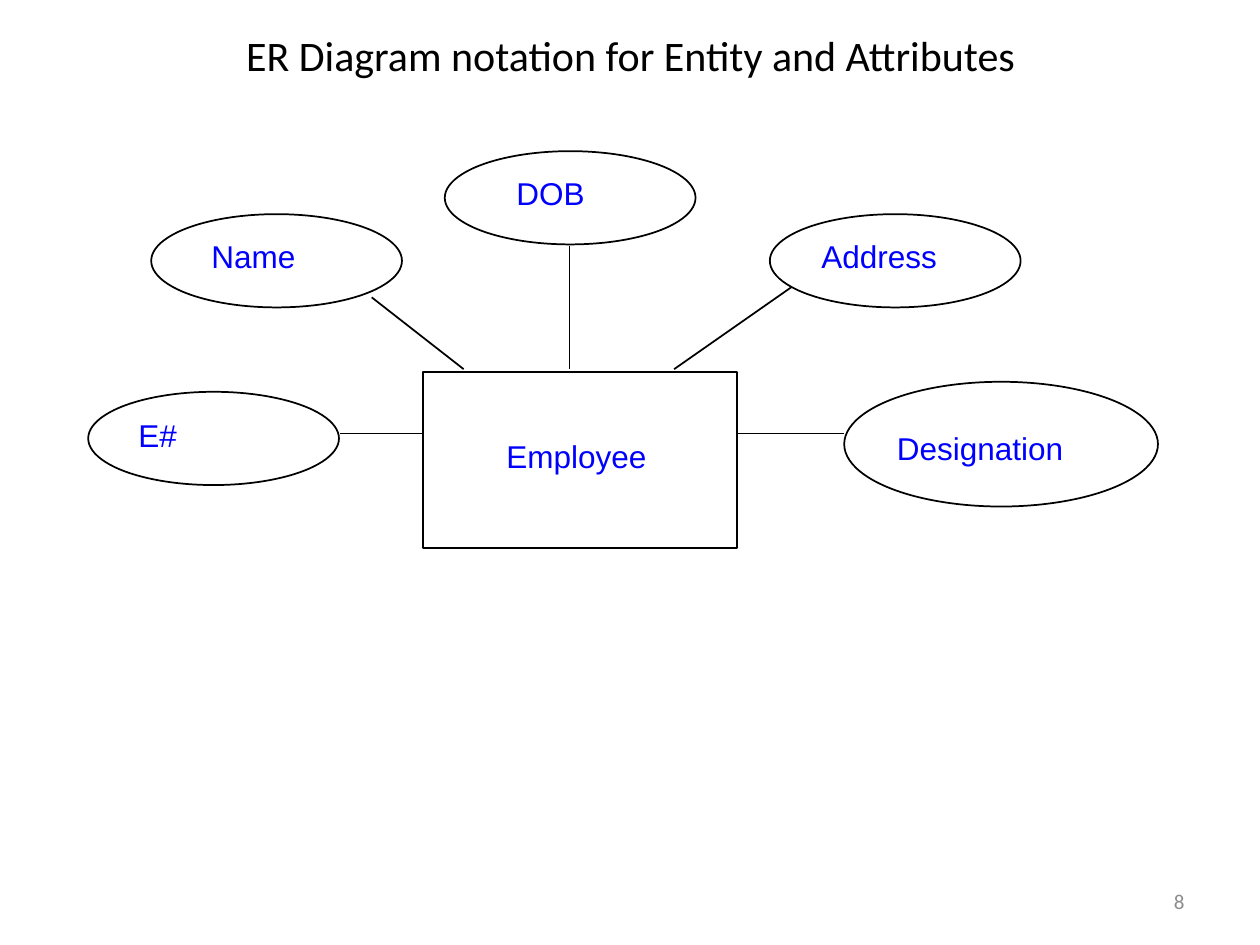
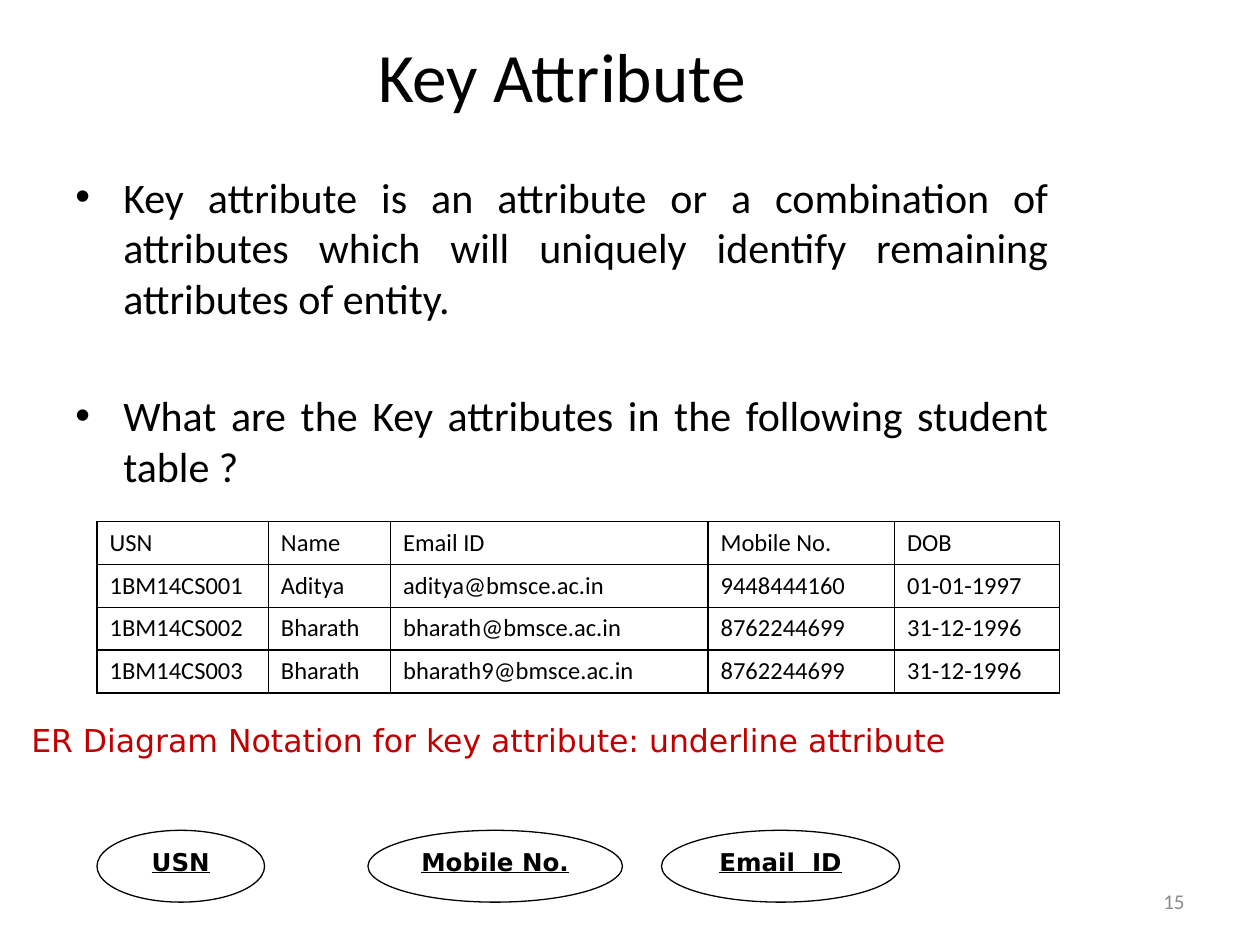
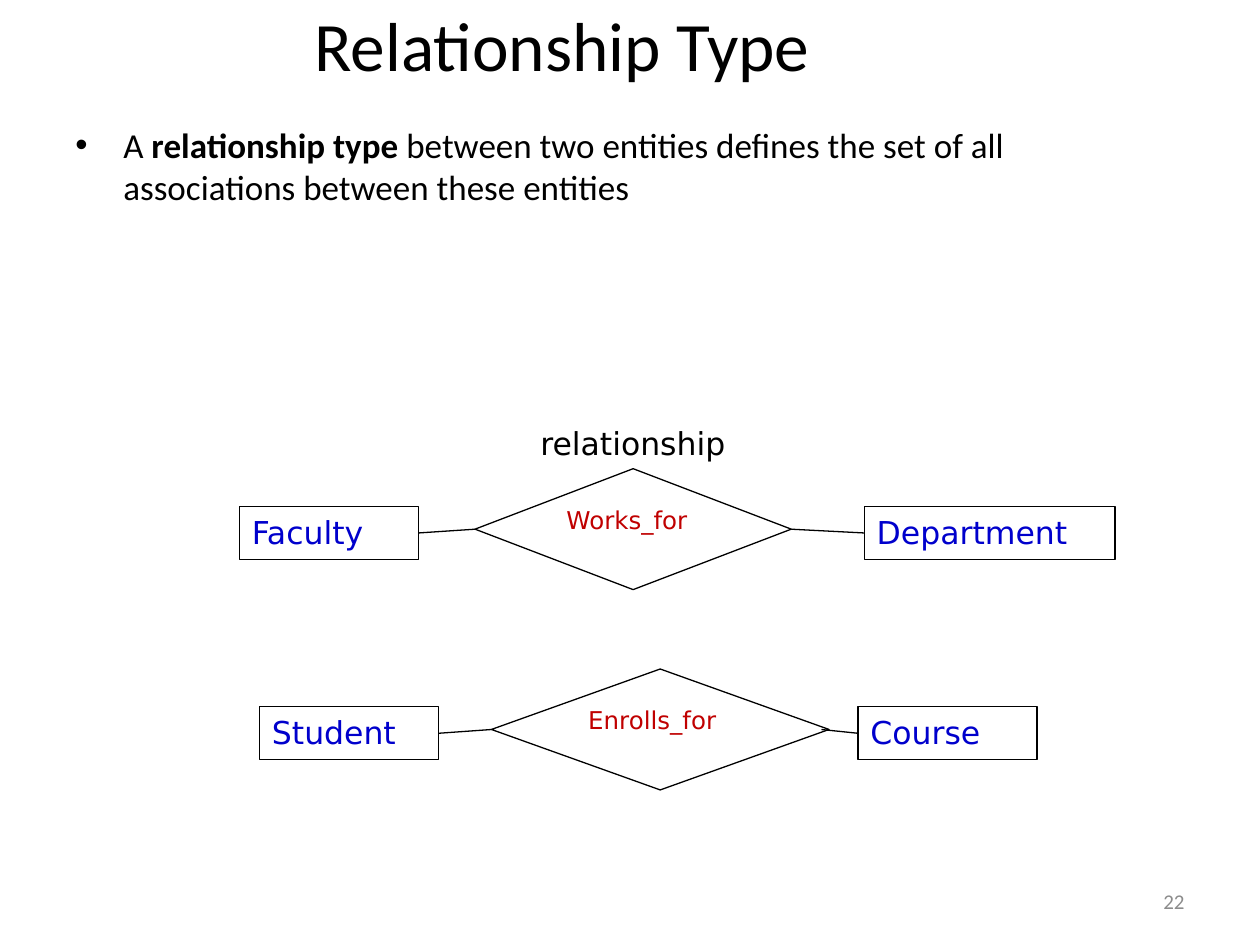
from dataclasses import dataclass

import lxml.etree
import pptx
import pptx.dml.color
import pptx.enum.shapes
import pptx.enum.text
import pptx.oxml
import pptx.oxml.ns
import pptx.util
from pptx.dml.color import RGBColor
from pptx.util import Inches

BLACK = RGBColor(0x00, 0x00, 0x00)
WHITE = RGBColor(0xFF, 0xFF, 0xFF)
GRAY = RGBColor(0x8C, 0x8C, 0x8C)
RED = RGBColor(0xC0, 0x00, 0x00)
BLUE = RGBColor(0x00, 0x00, 0xFF)
NAVY = RGBColor(0x00, 0x00, 0xCC)

SHAPE = pptx.enum.shapes.MSO_SHAPE
ALIGN = pptx.enum.text.PP_ALIGN
ANCHOR = pptx.enum.text.MSO_ANCHOR
LEFT_SIDE, RIGHT_SIDE = 1, 3
THIN, MEDIUM = 0.75, 1


@dataclass(frozen=True)
class TextStyle:
    size: float
    font: str = "Calibri"
    color: RGBColor = BLACK
    bold: bool = False
    underline: bool = False


@dataclass(frozen=True)
class Box:
    left: float
    top: float
    width: float
    height: float

    def lengths(self) -> tuple:
        return tuple(Inches(n) for n in (self.left, self.top, self.width, self.height))


@dataclass(frozen=True)
class Label:
    text: str
    box: Box


@dataclass(frozen=True)
class Attribute:
    outline: Box
    label: Label
    link: tuple[float, float, float, float]


@dataclass(frozen=True)
class Relationship:
    name: str
    diamond: Box
    source: Label
    target: Label
    link_start: float


TITLE = TextStyle(39.6)
SMALL_TITLE = TextStyle(24)
PAGE_NUMBER = TextStyle(12, color=GRAY)
CELL = TextStyle(14)
DIAGRAM_LABEL = TextStyle(18, "Arial", BLUE)
ENTITY = TextStyle(18, "DejaVu Sans", NAVY)
RELATION = TextStyle(14, "DejaVu Sans", RED)
NOTE = TextStyle(18, "DejaVu Sans", RED)
CAPTION = TextStyle(18, "DejaVu Sans")
KEY = TextStyle(14, "DejaVu Sans", bold=True, underline=True)

EMPLOYEE = Box(3.36, 2.95, 2.49, 1.4)
ATTRIBUTES = [
    Attribute(Box(1.2, 1.7, 1.99, 0.74), Label("Name", Box(1.58, 1.83, 1.09, 0.5)),
              (2.95, 2.36, 3.68, 2.93)),
    Attribute(Box(0.7, 3.11, 1.99, 0.74), Label("E#", Box(1, 3.25, 0.61, 0.5)),
              (2.7, 3.44, 3.35, 3.44)),
    Attribute(Box(6.7, 3.03, 2.49, 0.99), Label("Designation", Box(7.02, 3.36, 2.17, 0.5)),
              (6.7, 3.44, 5.85, 3.44)),
    Attribute(Box(3.53, 1.2, 1.99, 0.74), Label("DOB", Box(4, 1.33, 0.92, 0.5)),
              (4.52, 1.95, 4.52, 2.93)),
    Attribute(Box(6.11, 1.7, 1.99, 0.74), Label("Address", Box(6.42, 1.83, 1.42, 0.5)),
              (6.28, 2.28, 5.35, 2.93)),
]

STUDENT_COLUMNS = [1.36, 0.97, 2.52, 1.48, 1.31]
STUDENTS = [
    ["USN", "Name", "Email ID", "Mobile No.", "DOB"],
    ["1BM14CS001", "Aditya", "aditya@bmsce.ac.in", "9448444160", "01-01-1997"],
    ["1BM14CS002", "Bharath", "bharath@bmsce.ac.in", "8762244699", "31-12-1996"],
    ["1BM14CS003", "Bharath", "bharath9@bmsce.ac.in", "8762244699", "31-12-1996"],
]
KEYS = [
    Label("USN", Box(0.77, 6.59, 1.33, 0.57)),
    Label("Mobile No.", Box(2.92, 6.59, 2.02, 0.57)),
    Label("Email  ID", Box(5.25, 6.59, 1.89, 0.57)),
]

RELATIONSHIPS = [
    Relationship("Works_for", Box(3.77, 3.72, 2.51, 0.96),
                 Label("Faculty", Box(1.9, 4.02, 1.42, 0.42)),
                 Label("Department", Box(6.86, 4.02, 1.99, 0.42)), 6.28),
    Relationship("Enrolls_for", Box(3.9, 5.31, 2.68, 0.96),
                 Label("Student", Box(2.06, 5.61, 1.42, 0.42)),
                 Label("Course", Box(6.81, 5.61, 1.42, 0.42)), 6.52),
]


def format_paragraph(paragraph, style: TextStyle, align=ALIGN.LEFT) -> None:
    paragraph.alignment = align
    for run in paragraph.runs:
        run.font.size = pptx.util.Pt(style.size)
        run.font.name = style.font
        run.font.color.rgb = style.color
        run.font.bold = style.bold
        run.font.underline = style.underline


def add_text(slide, label: Label, style: TextStyle, align=ALIGN.LEFT, anchor=ANCHOR.TOP) -> None:
    text_frame = slide.shapes.add_textbox(*label.box.lengths()).text_frame
    text_frame.word_wrap = True
    text_frame.vertical_anchor = anchor
    text_frame.text = label.text
    format_paragraph(text_frame.paragraphs[0], style, align)


def add_outline(slide, kind, box: Box, weight: float):
    shape = slide.shapes.add_shape(kind, *box.lengths())
    shape.shadow.inherit = False
    shape.fill.background()
    shape.line.color.rgb = BLACK
    shape.line.width = pptx.util.Pt(weight)
    return shape


def add_labelled_shape(slide, kind, label: Label, style: TextStyle, align=ALIGN.LEFT):
    shape = add_outline(slide, kind, label.box, THIN)
    shape.text_frame.vertical_anchor = ANCHOR.TOP
    shape.text_frame.text = label.text
    format_paragraph(shape.text_frame.paragraphs[0], style, align)
    return shape


def add_line(slide, ends: tuple[float, float, float, float], weight: float):
    connector = slide.shapes.add_connector(
        pptx.enum.shapes.MSO_CONNECTOR.STRAIGHT, *(Inches(end) for end in ends))
    connector.line.color.rgb = BLACK
    connector.line.width = pptx.util.Pt(weight)
    lxml.etree.SubElement(connector._element.spPr, pptx.oxml.ns.qn("a:effectLst"))
    return connector


def add_bullet(paragraph) -> None:
    properties = paragraph._p.get_or_add_pPr()
    properties.set("marL", str(Inches(0.38)))
    properties.set("indent", str(-Inches(0.38)))
    bullet_font = lxml.etree.SubElement(properties, pptx.oxml.ns.qn("a:buFont"))
    bullet_font.set("typeface", "Arial")
    bullet = lxml.etree.SubElement(properties, pptx.oxml.ns.qn("a:buChar"))
    bullet.set("char", "•")


def add_body(slide, box: Box, texts: list[str], style: TextStyle, align, gap: float):
    text_frame = slide.shapes.add_textbox(*box.lengths()).text_frame
    text_frame.word_wrap = True
    for index, text in enumerate(texts):
        paragraph = text_frame.add_paragraph() if index else text_frame.paragraphs[0]
        paragraph.text = text
        add_bullet(paragraph)
        if index:
            paragraph.space_before = pptx.util.Pt(gap)
        format_paragraph(paragraph, style, align)
    return text_frame


def add_cell_borders(cell) -> None:
    properties = cell._tc.get_or_add_tcPr()
    for position, side in enumerate(("lnL", "lnR", "lnT", "lnB")):
        border = pptx.oxml.parse_xml(
            f'<a:{side} {pptx.oxml.ns.nsdecls("a")} w="{pptx.util.Pt(MEDIUM)}">'
            f'<a:solidFill><a:srgbClr val="{BLACK}"/></a:solidFill></a:{side}>')
        properties.insert(position, border)


def add_student_table(slide) -> None:
    box = Box(0.77, 4.14, sum(STUDENT_COLUMNS), 0.34 * len(STUDENTS))
    table = slide.shapes.add_table(
        len(STUDENTS), len(STUDENT_COLUMNS), *box.lengths()).table
    table.first_row = False
    table.horz_banding = False
    for column, width in zip(table.columns, STUDENT_COLUMNS):
        column.width = Inches(width)
    for row, values in zip(table.rows, STUDENTS):
        for cell, value in zip(row.cells, values):
            cell.text_frame.text = value
            format_paragraph(cell.text_frame.paragraphs[0], CELL)
            cell.fill.solid()
            cell.fill.fore_color.rgb = WHITE
            add_cell_borders(cell)


def add_slide(presentation, title: Label, style: TextStyle, number: int):
    slide = presentation.slides.add_slide(presentation.slide_layouts[6])
    add_text(slide, title, style, ALIGN.CENTER, ANCHOR.MIDDLE)
    add_text(slide, Label(str(number), Box(7.17, 6.95, 2.33, 0.4)), PAGE_NUMBER,
             ALIGN.RIGHT, ANCHOR.MIDDLE)
    return slide


def add_relationship(slide, relationship: Relationship) -> None:
    source = add_labelled_shape(slide, SHAPE.RECTANGLE, relationship.source, ENTITY)
    diamond = add_labelled_shape(
        slide, SHAPE.DIAMOND, Label(relationship.name, relationship.diamond), RELATION)
    target = add_labelled_shape(slide, SHAPE.RECTANGLE, relationship.target, ENTITY)

    box = relationship.diamond
    middle = box.top + box.height / 2
    incoming = add_line(slide, (box.left, middle, box.left, middle), THIN)
    incoming.begin_connect(source, RIGHT_SIDE)
    incoming.end_connect(diamond, LEFT_SIDE)
    start = relationship.link_start
    outgoing = add_line(slide, (start, middle, relationship.target.box.left, middle), THIN)
    if start == round(box.left + box.width, 2):
        outgoing.begin_connect(diamond, RIGHT_SIDE)
    outgoing.end_connect(target, LEFT_SIDE)


def build_entity_slide(presentation) -> None:
    title = Label("ER Diagram notation for Entity and Attributes", Box(0.63, 0.17, 8.75, 0.53))
    slide = add_slide(presentation, title, SMALL_TITLE, 8)
    add_outline(slide, SHAPE.RECTANGLE, EMPLOYEE, MEDIUM)
    add_text(slide, Label("Employee", Box(3.92, 3.42, 1.68, 0.5)), DIAGRAM_LABEL)
    for attribute in ATTRIBUTES:
        add_outline(slide, SHAPE.OVAL, attribute.outline, MEDIUM)
        add_line(slide, attribute.link, MEDIUM)
        add_text(slide, attribute.label, DIAGRAM_LABEL)


def build_key_slide(presentation) -> None:
    title = Label("Key Attribute", Box(0.5, 0.35, 7.92, 0.49))
    slide = add_slide(presentation, title, TITLE, 15)
    texts = [
        "Key attribute is an attribute or a combination of attributes which will "
        "uniquely identify remaining attributes of entity.",
        "What are the Key attributes in the following student table ?",
    ]
    add_body(slide, Box(0.5, 1.31, 7.92, 5.01), texts, TextStyle(24), ALIGN.JUSTIFY, 38.5)
    add_student_table(slide)
    note = "ER Diagram Notation for key attribute: underline attribute"
    add_text(slide, Label(note, Box(0.15, 5.67, 7.6, 0.4)), NOTE)
    for key in KEYS:
        add_labelled_shape(slide, SHAPE.OVAL, key, KEY, ALIGN.CENTER)


def build_relationship_slide(presentation) -> None:
    title = Label("Relationship Type", Box(0.5, 0.06, 7.92, 0.58))
    slide = add_slide(presentation, title, TITLE, 22)
    style = TextStyle(20)
    text_frame = add_body(slide, Box(0.5, 0.93, 8.11, 6.13), ["A "], style, ALIGN.LEFT, 0)
    paragraph = text_frame.paragraphs[0]
    term = paragraph.add_run()
    term.text = "relationship type"
    definition = paragraph.add_run()
    definition.text = " between two entities defines the set of all associations between these entities"
    format_paragraph(paragraph, style)
    term.font.bold = True
    for relationship in RELATIONSHIPS:
        add_relationship(slide, relationship)
    add_text(slide, Label("relationship", Box(4.19, 3.32, 1.7, 0.4)), CAPTION)


def main() -> None:
    presentation = pptx.Presentation()
    presentation.slide_width = Inches(10)
    presentation.slide_height = Inches(7.5)
    build_entity_slide(presentation)
    build_key_slide(presentation)
    build_relationship_slide(presentation)
    presentation.save("out.pptx")


if __name__ == "__main__":
    main()
